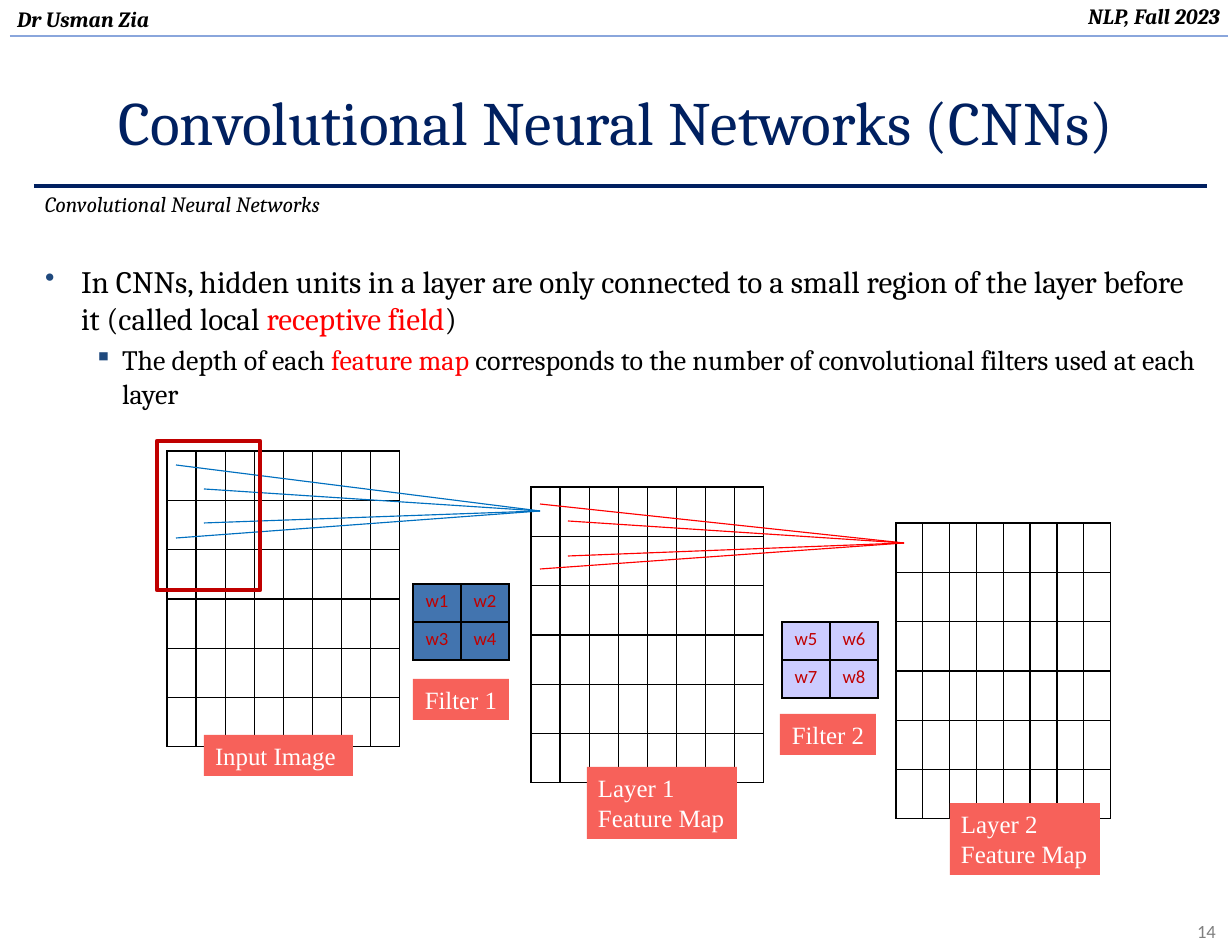
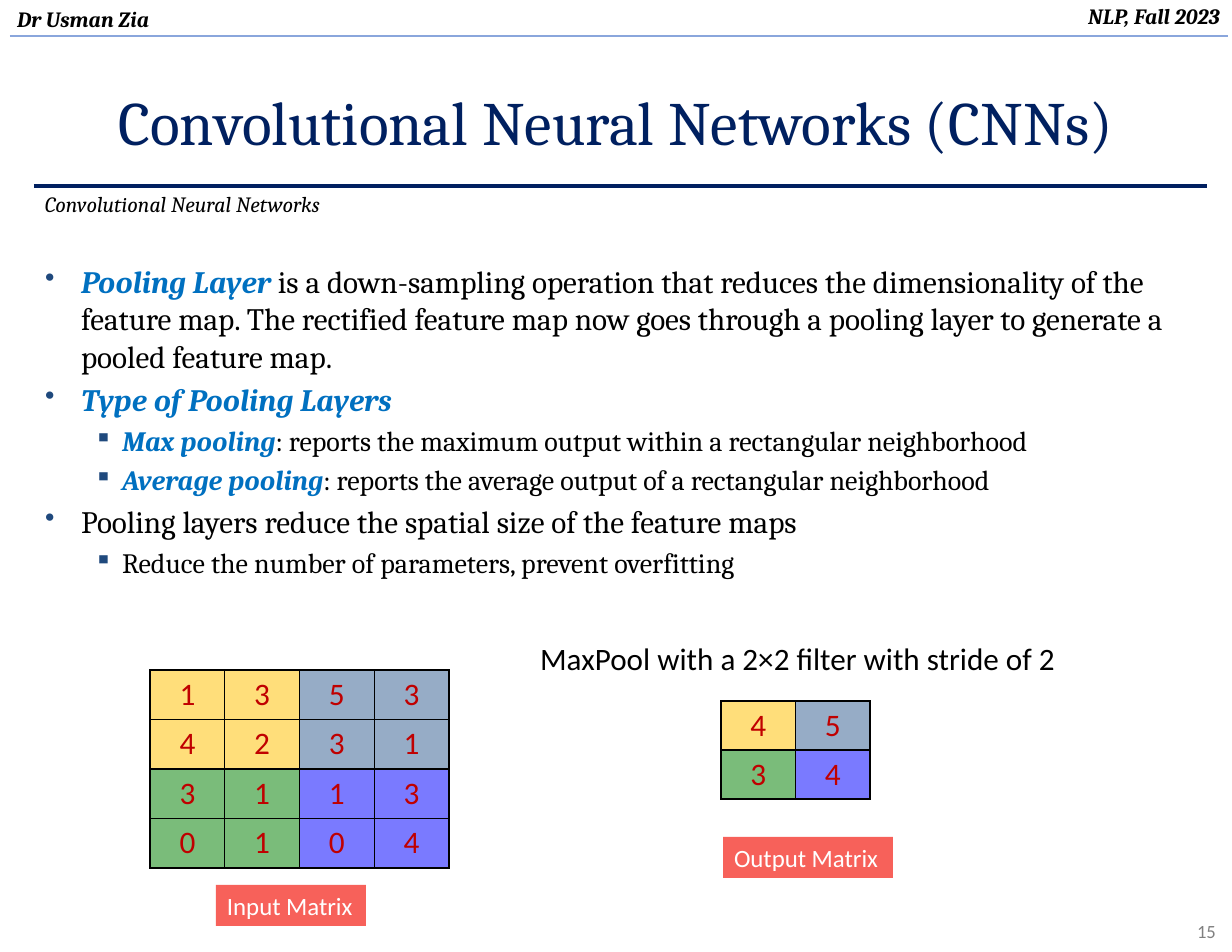
from lxml.etree import SubElement as Sub
from pptx import Presentation
from pptx.dml.color import RGBColor as RGB
from pptx.enum.shapes import MSO_CONNECTOR as LINK, MSO_SHAPE as SHAPE
from pptx.enum.text import MSO_ANCHOR as ANCHOR, PP_ALIGN as ALIGN
from pptx.oxml.ns import qn
from pptx.util import Pt

PX = 914400 / 112
HUE = {
    "navy": "002060", "rule": "8AA6DC", "black": "000000", "white": "FFFFFF",
    "gray": "808080", "dot": "1F497D", "red": "FF0000", "blue": "0070C0",
    "coral": "F7615A", "dark": "C00000", "steel": "4274AF", "lilac": "CCCCFF",
    "gold": "FFC000", "slate": "376092", "green": "008000", "pure": "0000FF",
}
SERIF, SANS, ROMAN = "Cambria", "Calibri", "Times New Roman"


def write(par, text, font, size, hue="black", bold=False, slant=False):
    run = par.add_run()
    run.text = text
    run.font.name = font
    run.font.size = Pt(size)
    run.font.color.rgb = RGB.from_string(HUE[hue])
    run.font.bold = bold
    run.font.italic = slant


def put(page, box, align=ALIGN.LEFT, anchor=ANCHOR.TOP, fill=None):
    spot = [int(v * PX) for v in box]
    if fill:
        item = page.shapes.add_shape(SHAPE.RECTANGLE, *spot)
        item.shadow.inherit = False
        item.fill.solid()
        item.fill.fore_color.rgb = RGB.from_string(HUE[fill])
        item.line.fill.background()
    else:
        item = page.shapes.add_textbox(*spot)
    frame = item.text_frame
    frame.word_wrap = True
    frame.vertical_anchor = anchor
    frame.paragraphs[0].alignment = align
    return frame


deck = Presentation()
deck.slide_width = int(1232 * PX)
deck.slide_height = int(952 * PX)

bodies = [
    [
        (0, [("In CNNs, hidden units in a layer are only connected to a small region of the layer before it (called local ", ""),
             ("receptive field", "red"), (")", "")]),
        (1, [("The depth of each ", ""), ("feature map ", "red"),
             ("corresponds to the number of convolutional filters used at each layer", "")]),
    ],
    [
        (0, [("Pooling Layer ", "key"),
             ("is a down-sampling operation that reduces the dimensionality of the feature map. "
              "The rectified feature map now goes through a pooling layer to generate a pooled feature map.", "")]),
        (0, [("Type of Pooling Layers", "key")]),
        (1, [("Max pooling", "key"), (": reports the maximum output within a rectangular neighborhood", "")]),
        (1, [("Average pooling", "key"), (": reports the average output of a rectangular neighborhood", "")]),
        (0, [("Pooling layers reduce the spatial size of the feature maps", "")]),
        (1, [("Reduce the number of parameters, prevent overfitting", "")]),
    ],
]
looks = {"": ("black", False, False), "red": ("red", False, False), "key": ("blue", True, True)}
levels = [(36, 36, "•", 20), (77, 28, "▪", 18)]
pages = []
lines = []

for num, body in enumerate(bodies, 14):
    page = deck.slides.add_slide(deck.slide_layouts[6])
    pages.append(page)
    lines += [(page, 34, 186, 1207, 186, "navy", 2), (page, 10, 36, 1228, 36, "rule", 1.5)]

    frame = put(page, (1091, 914, 136, 34), ALIGN.RIGHT)
    write(frame.paragraphs[0], str(num), SANS, 12, "gray")
    frame = put(page, (0, -3, 1231, 38), ALIGN.RIGHT)
    write(frame.paragraphs[0], "NLP, Fall 2023", SERIF, 14, bold=True, slant=True)
    frame = put(page, (6, 0, 396, 38))
    write(frame.paragraphs[0], "Dr Usman Zia", SERIF, 14, bold=True, slant=True)
    frame = put(page, (0, 56, 1232, 129), ALIGN.CENTER, ANCHOR.MIDDLE)
    write(frame.paragraphs[0], "Convolutional Neural Networks (CNNs)", SERIF, 39.6, "navy")
    frame = put(page, (34, 185, 758, 43))
    write(frame.paragraphs[0], "Convolutional Neural Networks", SERIF, 14, slant=True)

    frame = put(page, (34, 257, 1174, 657))
    for i, (level, runs) in enumerate(body):
        left, hang, mark, size = levels[level]
        par = frame.add_paragraph() if i else frame.paragraphs[0]
        if i:
            par.space_before = Pt(size / 5)
        props = par._p.get_or_add_pPr()
        props.set("marL", str(int(left * PX)))
        props.set("indent", str(int(-hang * PX)))
        Sub(Sub(props, qn("a:buClr")), qn("a:srgbClr"), val=HUE["dot"])
        Sub(props, qn("a:buSzPct"), val="90000")
        Sub(props, qn("a:buChar"), char=mark)
        for text, look in runs:
            write(par, text, SERIF, size, *looks[look])

conv, pool = pages
blank = [[""] * 8] * 6
none = [None] * 4
quads = ["gold", "slate", "green", "pure"]
grids = [
    (conv, (167, 451, 233, 296), blank, none, 18, 100),
    (conv, (531, 487, 233, 296), blank, none, 18, 100),
    (conv, (896, 523, 214, 296), blank, none, 18, 100),
    (conv, (413, 584, 96, 76), [["w1", "w2"], ["w3", "w4"]], ["steel"] * 4, 12, 100),
    (conv, (782, 622, 96, 76), [["w5", "w6"], ["w7", "w8"]], ["lilac"] * 4, 12, 100),
    (pool, (150, 670, 299, 198), ["1353", "4231", "3113", "0104"], quads, 20.1, 52),
    (pool, (721, 701, 149, 98), ["45", "34"], quads, 20.1, 52),
]
for page, box, rows, tints, size, alpha in grids:
    high, wide = len(rows), len(rows[0])
    table = page.shapes.add_table(high, wide, *[int(v * PX) for v in box]).table
    table.first_row = table.horz_banding = False
    for col in table.columns:
        col.width = int(box[2] * PX / wide)
    for row in table.rows:
        row.height = int(box[3] * PX / high)
    for r, row in enumerate(rows):
        for c, text in enumerate(row):
            cell = table.cell(r, c)
            props = cell._tc.get_or_add_tcPr()
            for side in "LRTB":
                edge = Sub(props, qn("a:ln" + side), w="12700")
                Sub(Sub(edge, qn("a:solidFill")), qn("a:srgbClr"), val=HUE["black"])
            tint = tints[r * 2 // high * 2 + c * 2 // wide]
            if tint:
                cell.fill.solid()
                cell.fill.fore_color.rgb = RGB.from_string(HUE[tint])
                if alpha < 100:
                    Sub(props.find(qn("a:solidFill"))[0], qn("a:alpha"), val=str(alpha * 1000))
            else:
                cell.fill.background()
            if text:
                par = cell.text_frame.paragraphs[0]
                par.alignment = ALIGN.CENTER
                write(par, text, SANS, size, "dark")

rays = [
    ("blue", (540, 511), [(176, 465), (204, 489), (204, 523), (176, 538)]),
    ("red", (904, 543), [(540, 504), (568, 521), (568, 556), (540, 569)]),
]
for hue, end, starts in rays:
    lines += [(conv, *start, *end, hue, 0.75) for start in starts]
for page, *ends, hue, width in lines:
    line = page.shapes.add_connector(LINK.STRAIGHT, *[int(v * PX) for v in ends])
    line.line.color.rgb = RGB.from_string(HUE[hue])
    line.line.width = Pt(width)
    Sub(line._element.spPr, qn("a:effectLst"))

labels = [
    (conv, (204, 735, 149, 41), "Input Image", ROMAN, ALIGN.LEFT),
    (conv, (587, 767, 150, 72), "Layer 1 Feature Map", ROMAN, ALIGN.LEFT),
    (conv, (950, 803, 150, 72), "Layer 2 Feature Map", ROMAN, ALIGN.LEFT),
    (conv, (413, 679, 96, 41), "Filter 1", ROMAN, ALIGN.CENTER),
    (conv, (780, 714, 96, 41), "Filter 2", ROMAN, ALIGN.CENTER),
    (pool, (216, 885, 150, 41), "Input Matrix", SANS, ALIGN.LEFT),
    (pool, (723, 837, 170, 41), "Output Matrix", SANS, ALIGN.LEFT),
]
for page, box, text, font, align in labels:
    frame = put(page, box, align, fill="coral")
    write(frame.paragraphs[0], text, font, 16, "white")

frame = put(pool, (529, 634, 606, 49))
write(frame.paragraphs[0], "MaxPool with a 2×2 filter with stride of 2", SANS, 20)

field = conv.shapes.add_shape(SHAPE.RECTANGLE, *[int(v * PX) for v in (157, 441, 103, 149)])
field.shadow.inherit = False
field.fill.background()
field.line.color.rgb = RGB.from_string(HUE["dark"])
field.line.width = Pt(3)

deck.save("out.pptx")
